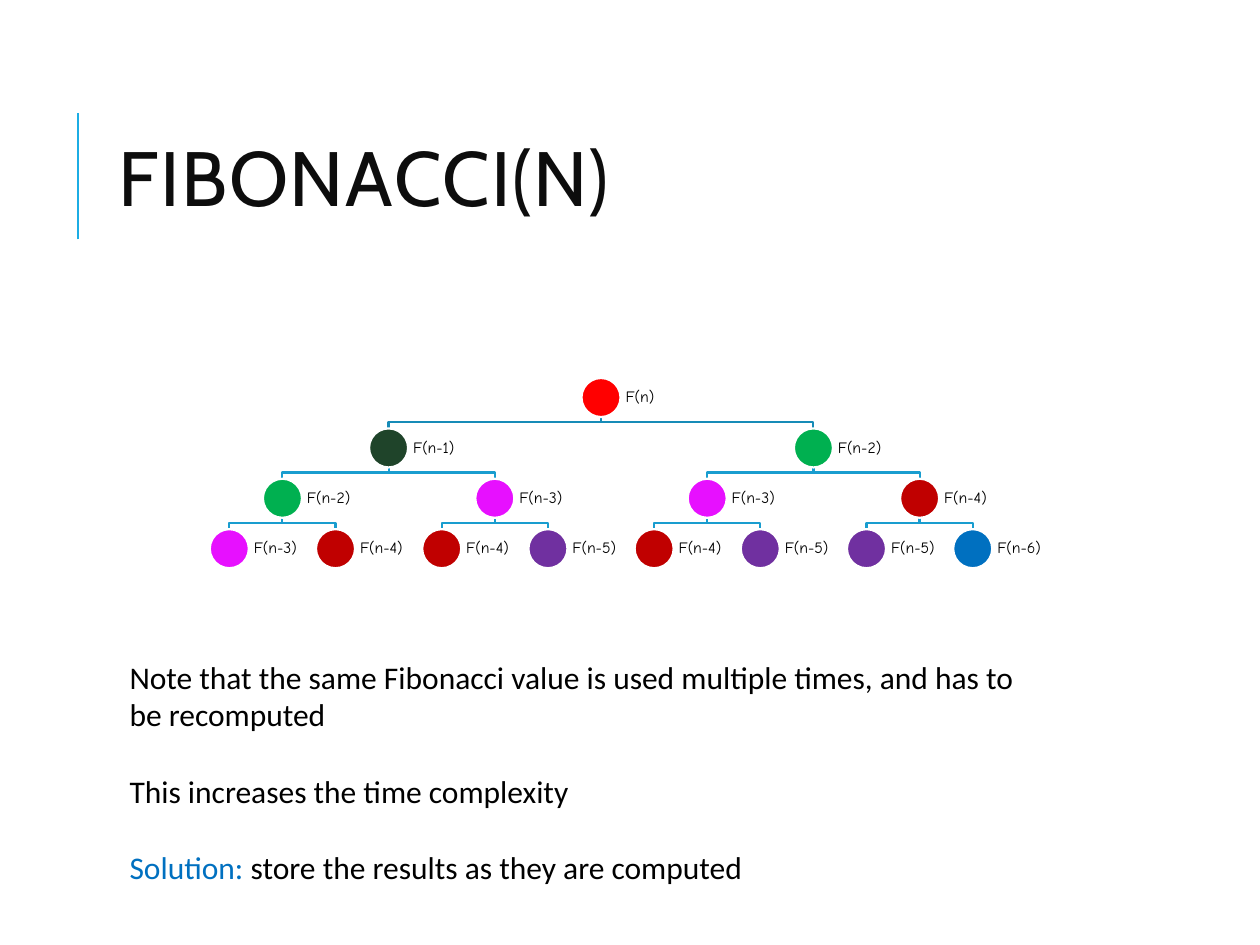
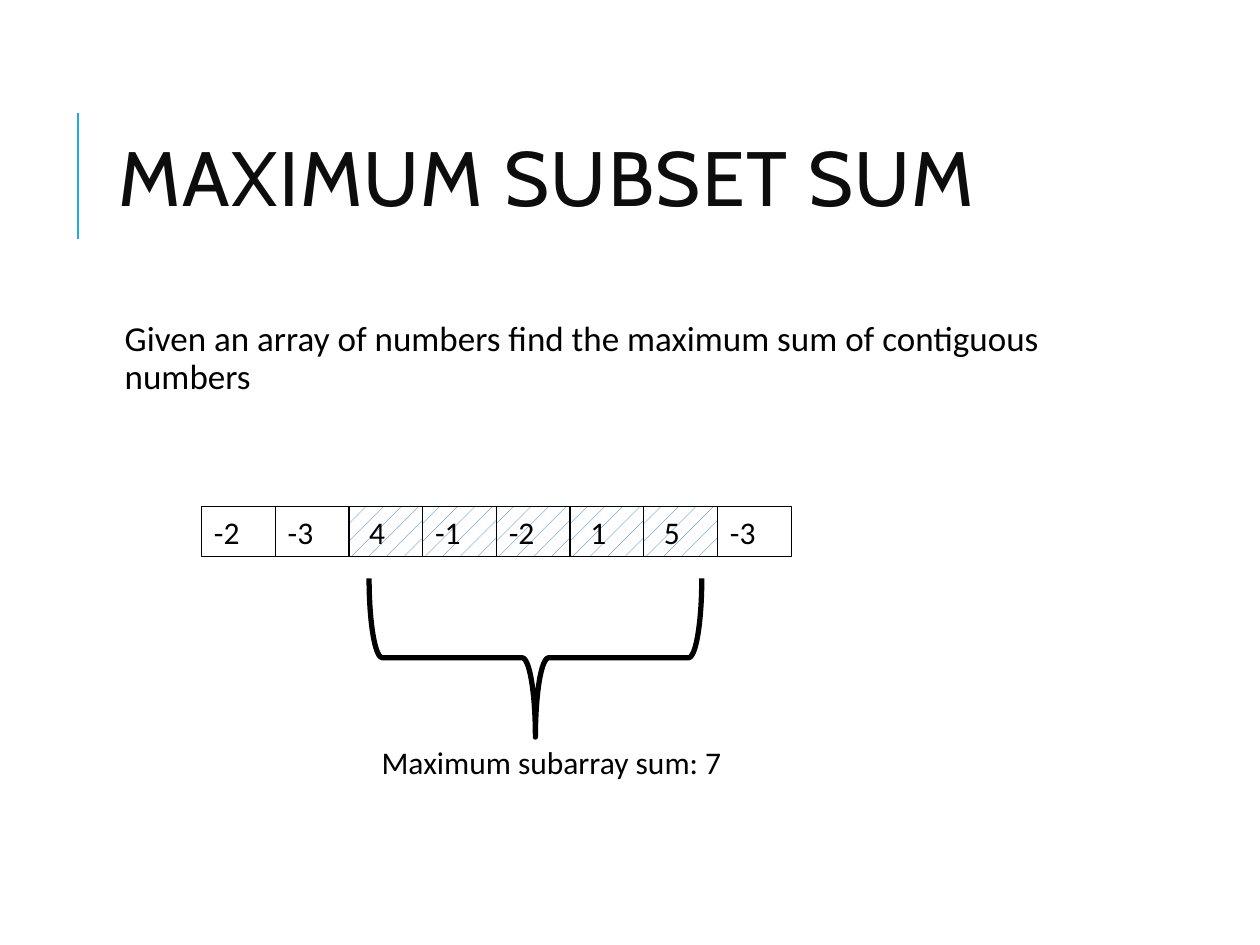
import lxml.etree
import pptx
import pptx.dml.color
import pptx.enum.dml
import pptx.enum.shapes
import pptx.enum.text
import pptx.oxml.ns
import pptx.util

Inches = pptx.util.Inches
Pt = pptx.util.Pt
RGB = pptx.dml.color.RGBColor.from_string
SHAPE = pptx.enum.shapes.MSO_SHAPE
ANCHOR = pptx.enum.text.MSO_ANCHOR
LEFT = pptx.enum.text.PP_ALIGN.LEFT

COLORS = {
    "title": "0D0D0D",
    "accent": "1CADE4",
    "text": "000000",
    "white": "FFFFFF",
    "blue": "0070C0",
    "top_branch": "168BB7",
    "branch": "199DCF",
}
NODE_COLORS = ["FF0000", "1F442A", "00B050", "E710FF", "C00000", "7030A0", "0070C0"]


def add_text(s, x, y, w, h, lines, size, font="Calibri", color="text"):
    sp = s.shapes.add_textbox(Inches(x), Inches(y), Inches(w), Inches(h))
    tf = sp.text_frame
    tf.word_wrap = True
    for i, line in enumerate(lines):
        p = tf.paragraphs[0] if i == 0 else tf.add_paragraph()
        p.text = line
        p.font.size = Pt(size)
        p.font.name = font
        p.font.color.rgb = RGB(COLORS[color])
    return tf


def add_titled_slide(prs, title):
    s = prs.slides.add_slide(prs.slide_layouts[6])
    bar = s.shapes.add_connector(
        pptx.enum.shapes.MSO_CONNECTOR.STRAIGHT,
        Inches(0.62), Inches(1.9), Inches(0.62), Inches(0.9))
    bar.line.color.rgb = RGB(COLORS["accent"])
    bar.line.width = Pt(1.5)
    lxml.etree.SubElement(bar._element.spPr, pptx.oxml.ns.qn("a:effectLst"))
    tf = add_text(s, 0.84, 0.64, 7.97, 1.64, [title], 44, "Cabin", "title")
    tf.vertical_anchor = ANCHOR.MIDDLE
    p = tf.paragraphs[0]
    p.line_spacing = 0.8
    p.runs[0].font._element.set("spc", "100")
    return s


prs = pptx.Presentation()
prs.slide_width = Inches(10)
prs.slide_height = Inches(7.5)

s = add_titled_slide(prs, "FIBONACCI(N)")

LEVELS = 4
LEAF_STEP = 5.9 / 7
ROW_STEP = 0.4
NODE = 0.31
nodes = {}
for level in range(LEVELS):
    for i in range(2 ** level):
        leaves = 2 ** (LEVELS - 1 - level)
        x = 1.82 + LEAF_STEP * ((i + 0.5) * leaves - 0.5)
        nodes[level, i] = (x, 3 + ROW_STEP * level)

for (level, i), (x, y) in nodes.items():
    if level == 0:
        continue
    parent_x, parent_y = nodes[level - 1, i // 2]
    points = [(parent_x, y - 0.05), (x, y - 0.05), (x, y)]
    fb = s.shapes.build_freeform(Inches(parent_x), Inches(parent_y + 0.3))
    fb.add_line_segments([(Inches(a), Inches(b)) for a, b in points], close=False)
    branch = fb.convert_to_shape()
    branch.shadow.inherit = False
    branch.fill.background()
    branch.line.color.rgb = RGB(COLORS["top_branch" if level == 1 else "branch"])
    branch.line.width = Pt(1.25)

for (level, i), (x, y) in nodes.items():
    k = level + bin(i).count("1")
    node = s.shapes.add_shape(
        SHAPE.OVAL, Inches(x - NODE / 2), Inches(y), Inches(NODE), Inches(NODE))
    node.shadow.inherit = False
    node.fill.solid()
    node.fill.fore_color.rgb = RGB(NODE_COLORS[k])
    node.line.color.rgb = RGB(COLORS["white"])
    node.line.width = Pt(1.25)
    label = f"F(n-{k})" if k else "F(n)"
    tf = add_text(s, x + NODE / 2, y, 0.46, NODE, [label], 9, "Comic Neue")
    tf.margin_left = tf.margin_right = tf.margin_top = tf.margin_bottom = Inches(0.04)
    tf.vertical_anchor = ANCHOR.MIDDLE
    tf.paragraphs[0].line_spacing = 0.9

tf = add_text(s, 0.93, 5.17, 7.4, 1.92, [
    "Note that the same Fibonacci value is used multiple times, and has to be recomputed",
    "This increases the time complexity",
    "Solution: ",
], 18)
for p in tf.paragraphs[1:]:
    p.space_before = Pt(22)
p.runs[0].font.color.rgb = RGB(COLORS["blue"])
r = p.add_run()
r.text = "store the results as they are computed"

s = add_titled_slide(prs, "MAXIMUM SUBSET SUM")

tf = add_text(s, 0.84, 2.5, 7.97, 4.4, [
    "Given an array of numbers find the maximum sum of contiguous numbers"], 20)
tf.margin_left = Inches(0.15)
tf.margin_right = tf.margin_top = tf.margin_bottom = Inches(0.05)
tf.paragraphs[0].line_spacing = 0.9

numbers = [-2, -3, 4, -1, -2, 1, 5, -3]
best = range(2, 7)
CELL = 4.68 / len(numbers)
for i, number in enumerate(numbers):
    cell = s.shapes.add_shape(
        SHAPE.RECTANGLE, Inches(1.6 + i * CELL), Inches(4.02), Inches(CELL), Inches(0.4))
    cell.shadow.inherit = False
    if i in best:
        cell.fill.patterned()
        cell.fill.pattern = pptx.enum.dml.MSO_PATTERN.PERCENT_5
        cell.fill.fore_color.rgb = RGB(COLORS["blue"])
        cell.fill.back_color.rgb = RGB(COLORS["white"])
    else:
        cell.fill.background()
    cell.line.color.rgb = RGB(COLORS["text"])
    cell.line.width = Pt(0.75)
    tf = cell.text_frame
    tf.margin_left = Inches(0.16 if number > 0 else 0.1)
    p = tf.paragraphs[0]
    p.text = str(number)
    p.alignment = LEFT
    p.font.size = Pt(18)
    p.font.name = "Calibri"
    p.font.color.rgb = RGB(COLORS["text"])

brace = s.shapes.add_shape(
    SHAPE.LEFT_BRACE, Inches(3.62), Inches(3.9), Inches(1.26), Inches(2.64))
brace.rotation = 270
brace.shadow.inherit = False
brace.fill.background()
brace.line.color.rgb = RGB(COLORS["text"])
brace.line.width = Pt(3)

add_text(s, 2.93, 5.85, 3.67, 0.4, ["Maximum subarray sum: 7"], 18)

prs.save("out.pptx")
